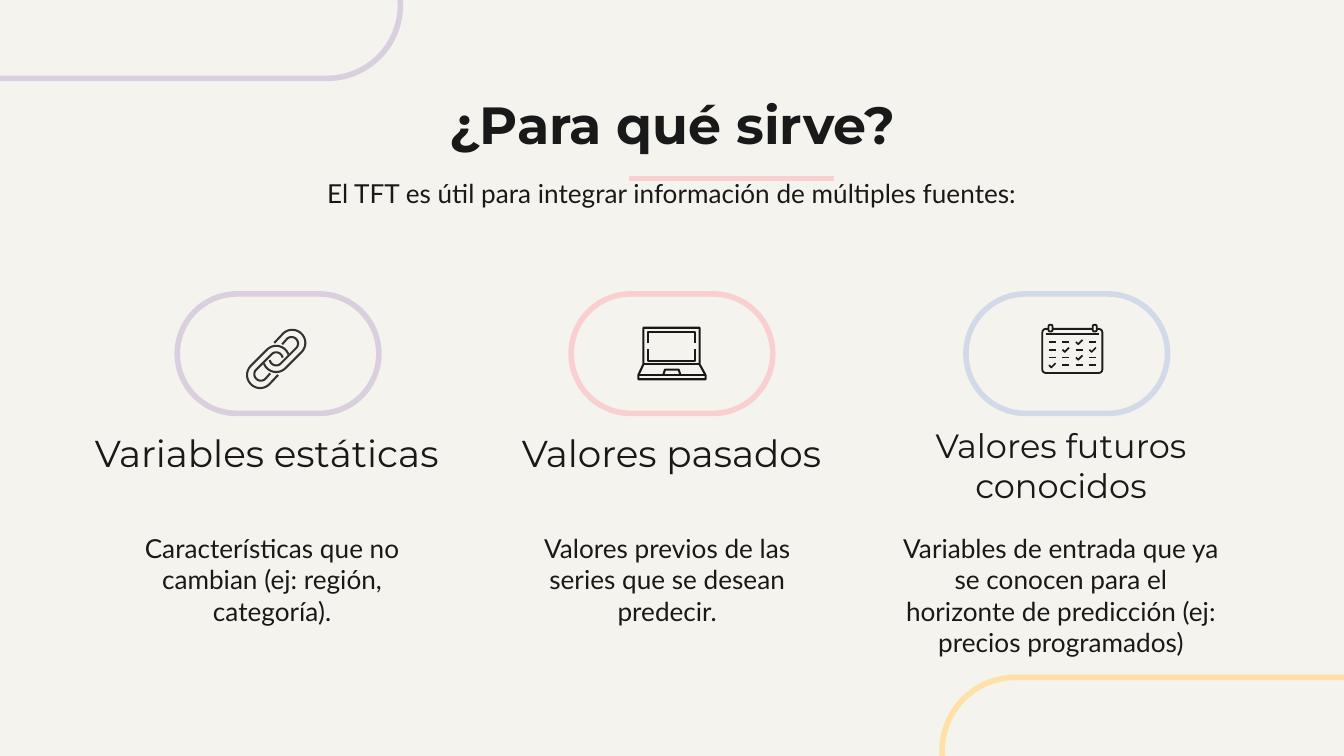
"""Builds the slide on what the TFT is for, with three columns of inputs."""
from math import cos, radians, sin

from lxml.etree import SubElement
from pptx import Presentation
from pptx.dml.color import RGBColor
from pptx.enum.shapes import MSO_CONNECTOR, MSO_SHAPE
from pptx.enum.text import MSO_ANCHOR, PP_ALIGN
from pptx.oxml.ns import qn
from pptx.util import Pt

INK, PAPER = "191919", "F5F3ED"
LILAC, PINK, BLUE, SAND = "D9CFDE", "F9CFD0", "D2DAE9", "FFE0A7"
color = RGBColor.from_string

deck = Presentation()
deck.slide_width, deck.slide_height = Pt(720), Pt(405)
slide = deck.slides.add_slide(deck.slide_layouts[6])
slide.background.fill.solid()
slide.background.fill.fore_color.rgb = color(PAPER)
shapes = slide.shapes


def draw(points, tint=INK, width=1.1, close=False):
    """Draw a straight line, or an unfilled outline through many points."""
    spots = [(Pt(x), Pt(y)) for x, y in points]
    if len(spots) == 2:
        item = shapes.add_connector(MSO_CONNECTOR.STRAIGHT, *spots[0], *spots[1])
        SubElement(item._element.spPr, qn("a:effectLst"))
    else:
        pen = shapes.build_freeform(*spots[0])
        pen.add_line_segments(spots[1:], close=close)
        item = pen.convert_to_shape()
        item.fill.background()
        item.shadow.inherit = False
    item.line.color.rgb = color(tint)
    item.line.width = Pt(width)


def write(words, box, size, face, bold=False, anchor=MSO_ANCHOR.TOP):
    """Add a centred text box."""
    frame = shapes.add_textbox(*map(Pt, box)).text_frame
    frame.word_wrap = True
    frame.vertical_anchor = anchor
    frame.margin_left = frame.margin_right = Pt(7.2)
    frame.margin_top = frame.margin_bottom = Pt(7.2)
    para = frame.paragraphs[0]
    para.text = words
    para.alignment = PP_ALIGN.CENTER
    para.font.size, para.font.name, para.font.bold = Pt(size), face, bold
    para.font.color.rgb = color(INK)


pills = [
    (-103, -36.5, 317.5, 78.5, LILAC),
    (504.7, 362.9, 317.5, 78.5, SAND),
    (95, 157.5, 108, 64, LILAC),
    (306, 157.5, 108, 64, PINK),
    (517.5, 157.5, 108, 64, BLUE),
]
for *box, tint in pills:
    pill = shapes.add_shape(MSO_SHAPE.ROUNDED_RECTANGLE, *map(Pt, box))
    pill.adjustments[0] = 0.5
    pill.shadow.inherit = False
    pill.fill.background()
    pill.line.color.rgb = color(tint)
    pill.line.width = Pt(3)

write("¿Para qué sirve?", (57, 42.5, 606, 45), 28, "Montserrat", bold=True)
draw([(337, 95.6), (447, 95.6)], PINK, 3)
write("El TFT es útil para integrar información de múltiples fuentes:",
      (18, 87.8, 684, 64), 14, "Lato")

columns = [
    ("Variables estáticas", (18, 219.6, 250, 41.8), 20, 54,
     "Características que no cambian (ej: región, categoría)."),
    ("Valores pasados", (268, 219.6, 183.6, 41.8), 20, 265.7,
     "Valores previos de las series que se desean predecir."),
    ("Valores futuros conocidos", (476.6, 224, 183.6, 54), 18, 476.6,
     "Variables de entrada que ya se conocen para el horizonte de "
     "predicción (ej: precios programados)"),
]
for head, box, size, left, body in columns:
    write(head, box, size, "Montserrat", anchor=MSO_ANCHOR.BOTTOM)
    write(body, (left, 278, 183.6, 64), 14, "Lato")

bands = [
    ((1, 8.6), [(-8.6, 8.6, 7, 45, 225), (0, 0, 7, 225, 340)]),
    ((3.2, -7.8), [(8.2, -8.2, 3.5, 225, 405), (0, 0, 3.5, 45, 170)]),
]
for start, arcs in bands:
    curve = [start]
    for x, y, r, first, last in arcs:
        for deg in range(first, last + 1, 5):
            curve.append((x + r * cos(radians(deg)), y + r * sin(radians(deg))))
    for side in (1, -1):
        draw([(148 + side * x, 192.3 + side * y) for x, y in curve], "333333")

draw([(344.7, 195.2), (344.7, 175.6), (374.8, 175.6), (374.8, 195.2),
      (378, 201), (378, 203.2), (342, 203.2), (342, 201)], close=True)
draw([(344.7, 195.2), (374.8, 195.2)])
draw([(342, 201), (378, 201)])
draw([(355.3, 201), (356.3, 198), (363.6, 198), (364.6, 201)])
for edge, end in ((178, 184), (193.2, 187.2)):
    draw([(347.2, end), (347.2, edge), (372.4, edge), (372.4, end)])

panels = [
    (558.4, 176.2, 32.2, 23.6, 0.08),
    (561.7, 174, 2.2, 3.6, 0.4),
    (585.4, 174, 2.2, 3.6, 0.4),
]
for *box, bend in panels:
    panel = shapes.add_shape(MSO_SHAPE.ROUNDED_RECTANGLE, *map(Pt, box))
    panel.adjustments[0] = bend
    panel.shadow.inherit = False
    panel.fill.solid()
    panel.fill.fore_color.rgb = color(PAPER)
    panel.line.color.rgb = color("1C1C1C")
    panel.line.width = Pt(1)
draw([(560.3, 179), (588.7, 179)], "1C1C1C", 0.9)
for row, marks in enumerate(("--v-", "-v-v", "--v-", "v---")):
    for col, mark in enumerate(marks):
        x, y = 563.8 + 7.2 * col, 183.2 + 4.15 * row
        if mark == "v":
            tick = [(x - 1.8, y), (x - 0.6, y + 1.2), (x + 1.7, y - 1.1)]
        else:
            tick = [(x - 1.9, y), (x + 1.9, y)]
        draw(tick, "1C1C1C", 0.9)

deck.save("out.pptx")
